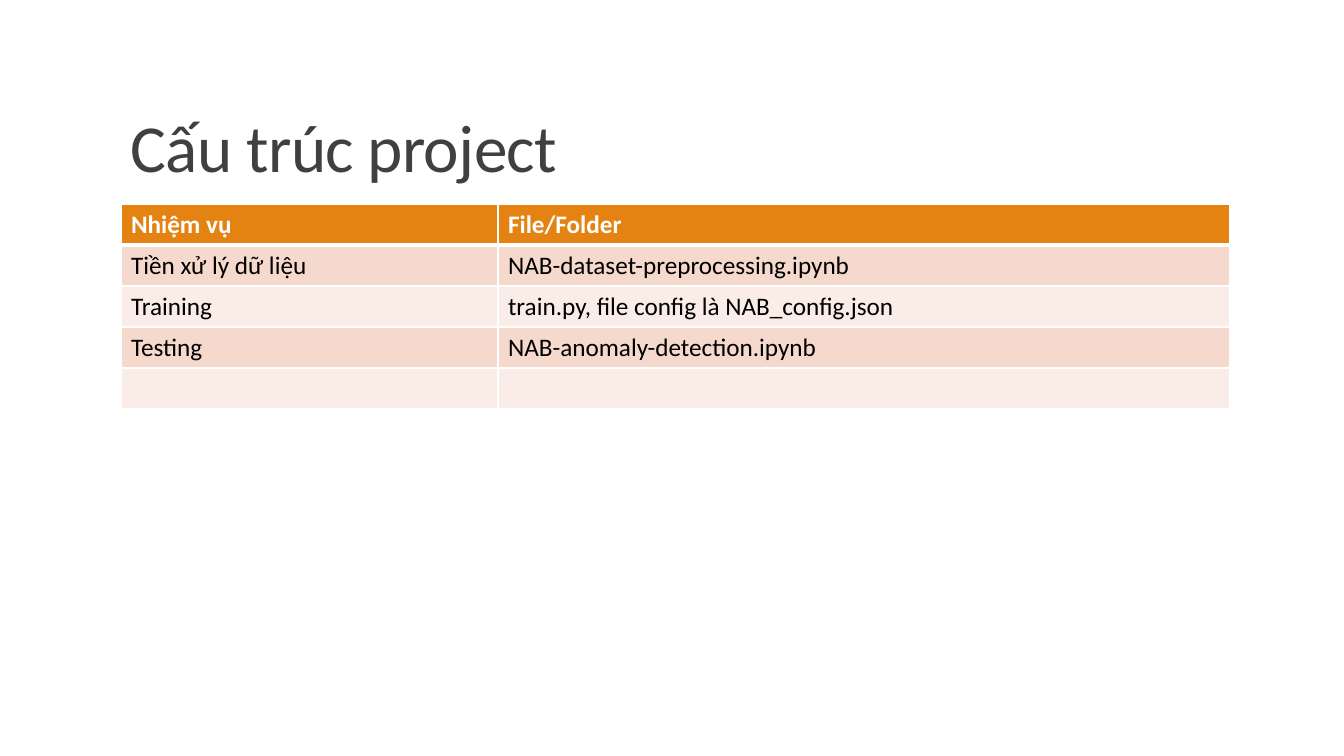
from dataclasses import dataclass

from pptx import Presentation
from pptx.dml.color import RGBColor as Rgb
from pptx.enum.text import MSO_ANCHOR as Anchor
from pptx.oxml.ns import qn
from pptx.util import Pt
from lxml.etree import SubElement as Sub

# Content
TITLE = "Cấu trúc project"
ROWS = [
    ("Nhiệm vụ", "File/Folder"),
    ("Tiền xử lý dữ liệu", "NAB-dataset-preprocessing.ipynb"),
    ("Training", "train.py, file config là NAB_config.json"),
    ("Testing", "NAB-anomaly-detection.ipynb"),
    ("", ""),
]

# Layout in px
PAGE = (1344, 756)
HEAD = (121, 31, 1109, 160)
LEFT, TOP = 121, 204
COLS = (377, 732)
ROW_H = 41


@dataclass(frozen=True)
class Theme:
    font: str = "Calibri"
    title: str = "404040"
    head: str = "E48312"
    bands: tuple = ("F5D9CC", "FAEDE7")
    white: str = "FFFFFF"
    black: str = "000000"
    big: int = 48
    body: int = 18
    thin: int = 1
    thick: int = 3


LOOK = Theme()


def px(num):
    return round(num * 914400 / 100.8)


def write(frame, text, size=LOOK.body, color=LOOK.black, bold=False,
          space=None, track=None):
    para = frame.paragraphs[0]
    para.font.size = Pt(size)
    if space:
        para.line_spacing = space
    if not text:
        return
    run = para.add_run()
    run.text = text
    font = run.font
    font.name, font.size, font.bold = LOOK.font, Pt(size), bold
    font.color.rgb = Rgb.from_string(color)
    if track:
        run._r.get_or_add_rPr().set("spc", str(round(track * 100)))


def border(cell, **sides):
    props = cell._tc.get_or_add_tcPr()
    for side in "LRTB":
        line = Sub(props, qn(f"a:ln{side}"), w=str(Pt(sides.get(side, LOOK.thin))))
        fill = Sub(line, qn("a:solidFill"))
        Sub(fill, qn("a:srgbClr"), val=LOOK.white)


def paint(cell, color):
    cell.fill.solid()
    cell.fill.fore_color.rgb = Rgb.from_string(color)


def main():
    deck = Presentation()
    deck.slide_width, deck.slide_height = map(px, PAGE)
    slide = deck.slides.add_slide(deck.slide_layouts[6])

    # Title
    frame = slide.shapes.add_textbox(*map(px, HEAD)).text_frame
    frame.word_wrap = True
    frame.vertical_anchor = Anchor.BOTTOM
    write(frame, TITLE, size=LOOK.big, color=LOOK.title, space=0.85, track=-0.5)

    # Task table
    box = map(px, (LEFT, TOP, sum(COLS), ROW_H * len(ROWS)))
    table = slide.shapes.add_table(len(ROWS), len(COLS), *box).table
    for col, wide in zip(table.columns, COLS):
        col.width = px(wide)
    for i, row in enumerate(ROWS):
        table.rows[i].height = px(ROW_H)
        top = i == 0
        edge = {0: {"B": LOOK.thick}, 1: {"T": LOOK.thick}}.get(i, {})
        for j, text in enumerate(row):
            cell = table.cell(i, j)
            border(cell, **edge)
            paint(cell, LOOK.head if top else LOOK.bands[(i - 1) % 2])
            write(cell.text_frame, text, bold=top,
                  color=LOOK.white if top else LOOK.black)

    deck.save("out.pptx")


if __name__ == "__main__":
    main()
